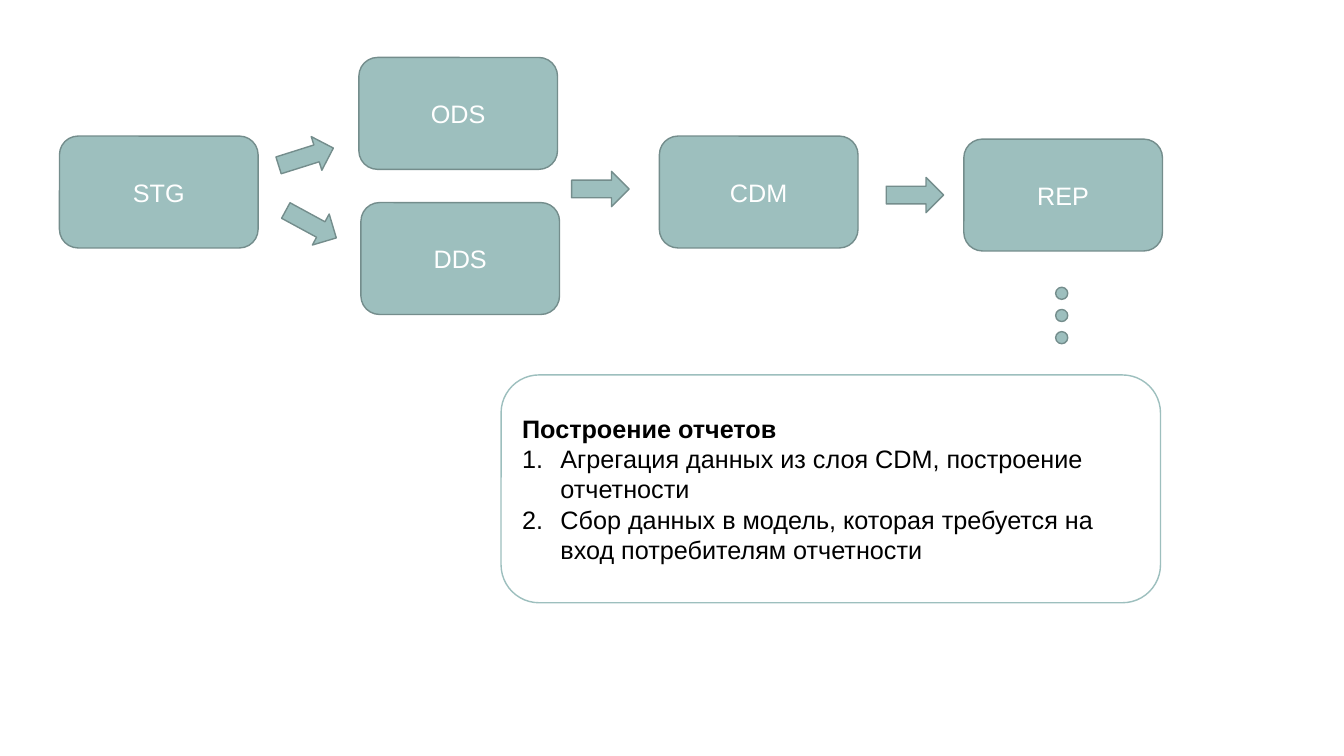
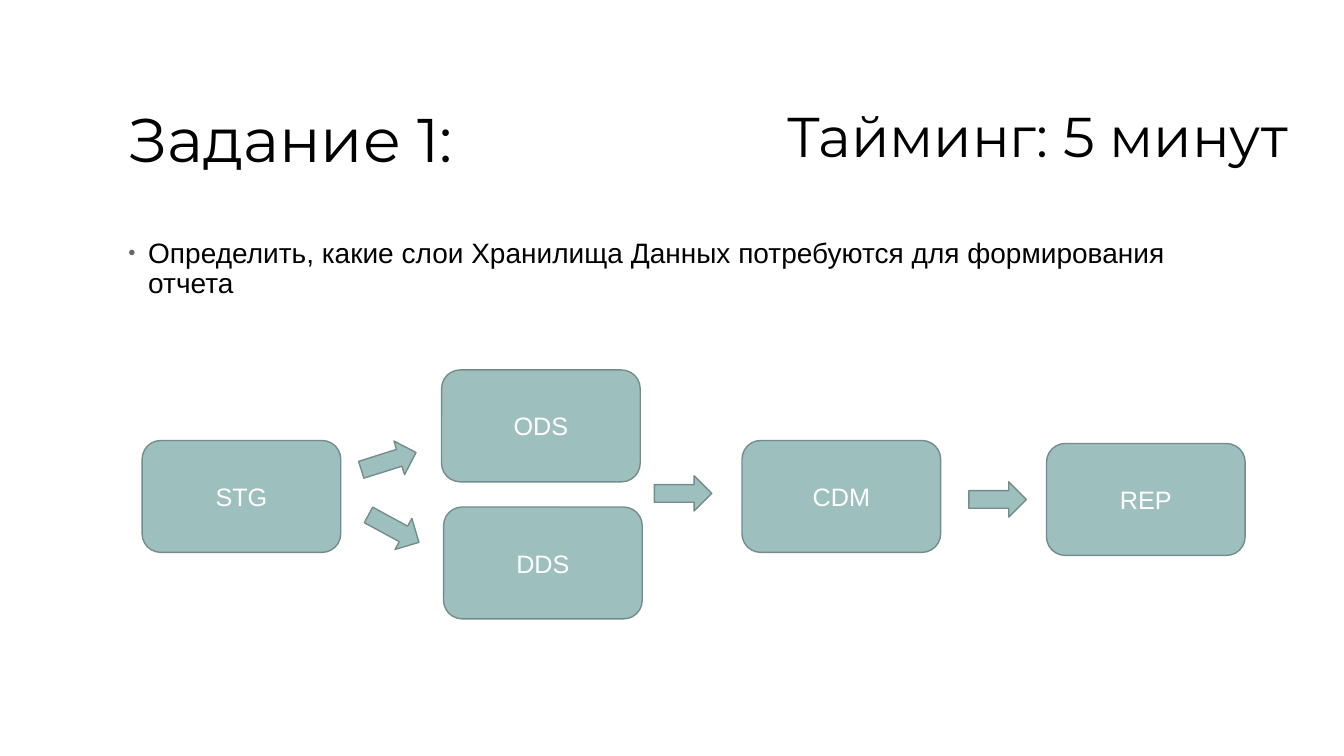
"""Build two slides on the layers of a data warehouse and the reports made from them."""
from dataclasses import dataclass

from lxml import etree
from pptx import Presentation
from pptx import util as u
from pptx.dml.color import RGBColor
from pptx.enum import shapes, text
from pptx.oxml import ns


@dataclass(frozen=True)
class Theme:
    sage: RGBColor = RGBColor.from_string("9DBFBE")
    outline: RGBColor = RGBColor.from_string("748D8C")
    bullet: RGBColor = RGBColor.from_string("666666")
    white: RGBColor = RGBColor.from_string("FFFFFF")
    black: RGBColor = RGBColor.from_string("000000")
    heading_font: str = "Montserrat"
    body_font: str = "Arial"
    title_size: int = 44
    timing_size: int = 40
    task_size: int = 20
    label_size: int = 18


THEME = Theme()
PX = u.Inches(1) // 100
LAYER_SIZE = (197, 111)
ARROW_SIZE = (57, 35)
SHAPE = shapes.MSO_SHAPE
ALIGN = text.PP_ALIGN


def draw(slide, kind, left, top, size, fill=THEME.sage, line=THEME.outline):
    shape = slide.shapes.add_shape(kind, left * PX, top * PX, size[0] * PX, size[1] * PX)
    shape.shadow.inherit = False
    shape.fill.solid()
    shape.fill.fore_color.rgb = fill
    shape.line.color.rgb = line
    shape.line.width = u.Pt(1)
    return shape


def write(shape, words, size, color=THEME.black, font=THEME.body_font,
          align=ALIGN.LEFT, anchor=text.MSO_ANCHOR.MIDDLE, spacing=1.0):
    frame = shape.text_frame
    frame.text = words
    frame.word_wrap = True
    frame.auto_size = text.MSO_AUTO_SIZE.NONE
    frame.vertical_anchor = anchor
    for paragraph in frame.paragraphs:
        paragraph.alignment = align
        paragraph.line_spacing = spacing
        for run in paragraph.runs:
            run.font.name = font
            run.font.size = u.Pt(size)
            run.font.color.rgb = color
    return frame.paragraphs


deck = Presentation()
deck.slide_width, deck.slide_height = u.Inches(13.33), u.Inches(7.5)
report_slide = deck.slides.add_slide(deck.slide_layouts[6])
task_slide = deck.slides.add_slide(deck.slide_layouts[1])

for slide, left, top, ods_rise in ((report_slide, 59, 135, 78), (task_slide, 141, 437, 70)):
    layers = (("STG", 0, 0), ("ODS", 297, -ods_rise), ("DDS", 299, 66),
              ("CDM", 595, 0), ("REP", 897, 3))
    for name, dx, dy in layers:
        layer = draw(slide, SHAPE.ROUNDED_RECTANGLE, left + dx, top + dy, LAYER_SIZE)
        write(layer, name, THEME.label_size, THEME.white, align=ALIGN.CENTER)
    for dx, dy, angle in ((216, 3, 342.5), (221, 70, 28.5), (508, 35, 0), (820, 41, 0)):
        arrow = draw(slide, SHAPE.RIGHT_ARROW, left + dx, top + dy, ARROW_SIZE)
        arrow.rotation = angle

for dot in range(3):
    draw(report_slide, SHAPE.OVAL, 1047, 285 + 22 * dot, (12, 12))

report_card = draw(report_slide, SHAPE.ROUNDED_RECTANGLE, 497, 372, (654, 226),
                   THEME.white, THEME.sage)
heading, *steps = write(
    report_card,
    "Построение отчетов\n"
    "Агрегация данных из слоя CDM, построение отчетности\n"
    "Сбор данных в модель, которая требуется на вход потребителям отчетности",
    THEME.label_size)
heading.runs[0].font.bold = True

title, task = task_slide.placeholders
timing = task_slide.shapes.add_textbox(0, 0, 0, 0)
for box, left, top, width, height in ((title, 117, 53, 1100, 176),
                                      (task, 117, 232, 1100, 443),
                                      (timing, 187, 50, 1100, 176)):
    box.left, box.top, box.width, box.height = (n * PX for n in (left, top, width, height))

write(title, "Задание 1:", THEME.title_size, font=THEME.heading_font, spacing=0.9)
write(timing, "Тайминг: 5 минут", THEME.timing_size, font=THEME.heading_font,
      align=ALIGN.RIGHT, spacing=0.9)
goals = write(
    task,
    "Определить, какие слои Хранилища Данных потребуются для формирования отчета",
    THEME.task_size, anchor=text.MSO_ANCHOR.TOP, spacing=0.9)
goals[0].space_before = u.Pt(12)

numbered = (38, THEME.black, 100, "a:buAutoNum", {"type": "arabicPeriod"})
dotted = (20, THEME.bullet, 45, "a:buChar", {"char": "●"})
for items, (indent, color, percent, tag, marker) in ((steps, numbered), (goals, dotted)):
    for item in items:
        props = item._p.get_or_add_pPr()
        props.set("marL", str(indent * PX))
        props.set("indent", str(-indent * PX))
        bullet_color = etree.SubElement(props, ns.qn("a:buClr"))
        etree.SubElement(bullet_color, ns.qn("a:srgbClr"), val=str(color))
        etree.SubElement(props, ns.qn("a:buSzPct"), val=str(percent * 1000))
        etree.SubElement(props, ns.qn("a:buFont"), typeface=THEME.body_font)
        etree.SubElement(props, ns.qn(tag), marker)

deck.save("out.pptx")
